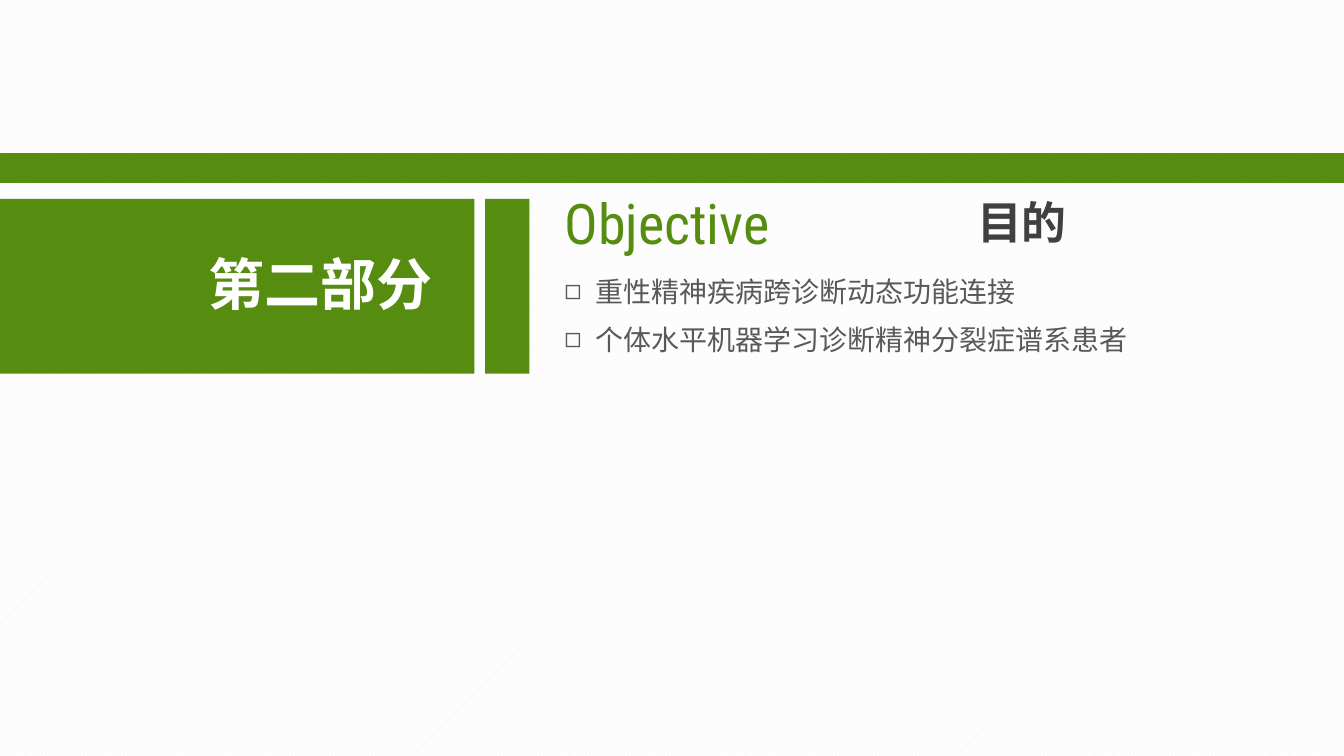
from lxml.etree import SubElement
from pptx import Presentation
from pptx.dml.color import RGBColor
from pptx.enum.dml import MSO_PATTERN
from pptx.enum.shapes import MSO_SHAPE
from pptx.enum.text import MSO_AUTO_SIZE as AutoSize
from pptx.oxml.ns import qn
from pptx.util import Inches, Pt

COLORS = {
    "green": "568D11",
    "white": "FFFFFF",
    "stripe": "F2F2F2",
    "body": "595959",
    "heading": "404040",
}
CELL = 0.1
CHINESE, LATIN = "Noto Sans CJK SC", "Roboto Condensed"


def grid(count):
    return Inches(count * CELL)


def color(name):
    return RGBColor.from_string(COLORS[name])


class SectionSlide:
    """Draws styled elements on one slide, placed in grid columns and rows."""

    frame_format = {
        "word_wrap": False,
        "auto_size": AutoSize.SHAPE_TO_FIT_TEXT,
        "margin_left": Inches(0.07),
        "margin_right": Inches(0.07),
        "margin_top": Inches(0.04),
        "margin_bottom": Inches(0.04),
    }

    def __init__(self, presentation):
        self.slide = presentation.slides.add_slide(presentation.slide_layouts[6])

    def background(self):
        fill = self.slide.background.fill
        fill.patterned()
        fill.pattern = MSO_PATTERN.LIGHT_UPWARD_DIAGONAL
        fill.fore_color.rgb = color("stripe")
        fill.back_color.rgb = color("white")

    def block(self, column, row, columns, rows):
        shape = self.slide.shapes.add_shape(
            MSO_SHAPE.RECTANGLE, *map(grid, (column, row, columns, rows)))
        shape.shadow.inherit = False
        shape.fill.solid()
        shape.fill.fore_color.rgb = color("green")
        shape.line.fill.background()

    def text(self, words, place, size, ink, typeface=CHINESE, bold=False, bullet=None):
        frame = self.slide.shapes.add_textbox(*map(grid, place)).text_frame
        for name, value in self.frame_format.items():
            setattr(frame, name, value)
        paragraph = frame.paragraphs[0]
        if bullet:
            self.bullet(paragraph, bullet)
        run = paragraph.add_run()
        run.text = words
        for name, value in {"size": Pt(size), "bold": bold, "name": typeface}.items():
            setattr(run.font, name, value)
        run.font.color.rgb = color(ink)
        SubElement(run._r.get_or_add_rPr(), qn("a:ea"), typeface=typeface)

    def bullet(self, paragraph, character):
        properties = paragraph._p.get_or_add_pPr()
        indent = Inches(0.23)
        properties.set("marL", str(indent))
        properties.set("indent", str(-indent))
        SubElement(properties, qn("a:buFont"), typeface=LATIN)
        SubElement(properties, qn("a:buChar"), char=character)


def main():
    presentation = Presentation()
    presentation.slide_width = Inches(10)
    presentation.slide_height = Inches(10) * 9 // 16
    section = SectionSlide(presentation)
    section.background()

    section.block(0, 14.8, 35.3, 13)
    section.text("第二部分", (14.8, 18.2, 18.3, 5.8), 30, "white", bold=True)

    left, first_row, pitch = 41.3, 20, 3.6
    goals = [("重性精神疾病跨诊断动态功能连接", 35.4),
             ("个体水平机器学习诊断精神分裂症谱系患者", 43.9)]
    for index, (goal, columns) in enumerate(goals):
        place = (left, first_row + index * pitch, columns, 3.3)
        section.text(goal, place, 15, "body", bullet="◻")

    section.text("Objective", (left, 13.6, 17.9, 5.8), 30, "green", LATIN)
    section.text("目的", (72, 14.1, 8.2, 4.8), 24, "heading", bold=True)
    section.block(0, 11.4, 100.3, 2.2)
    section.block(36.1, 14.8, 3.3, 13)

    presentation.save("out.pptx")


if __name__ == "__main__":
    main()
